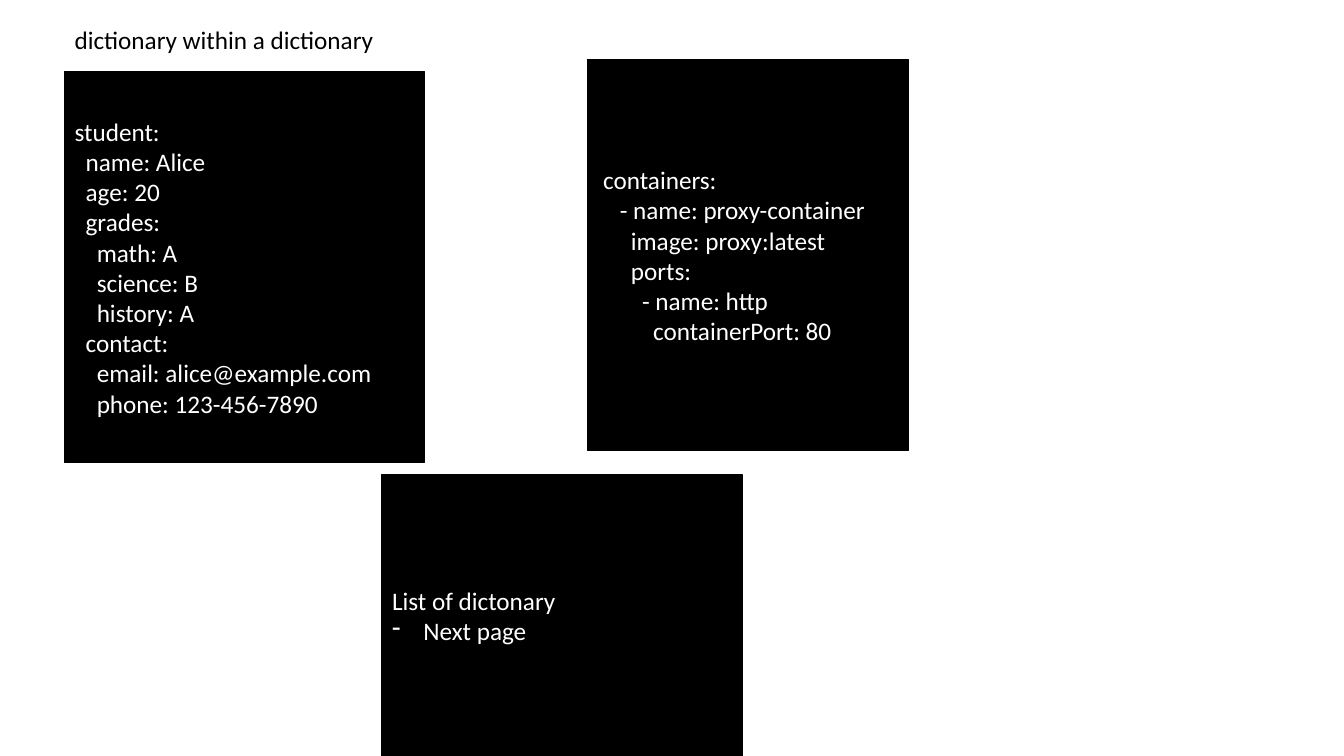
from lxml import etree
from pptx import Presentation
from pptx.dml.color import RGBColor
from pptx.enum.shapes import MSO_SHAPE
from pptx.enum.text import MSO_ANCHOR, MSO_AUTO_SIZE, PP_ALIGN
from pptx.oxml.ns import qn
from pptx.util import Cm, Pt

RECTANGLE = MSO_SHAPE.RECTANGLE
MIDDLE = MSO_ANCHOR.MIDDLE
LEFT = PP_ALIGN.LEFT
FIT_SHAPE = MSO_AUTO_SIZE.SHAPE_TO_FIT_TEXT

BLACK = RGBColor(0x00, 0x00, 0x00)
WHITE = RGBColor(0xFF, 0xFF, 0xFF)

STUDENT_YAML = [
    (0, "student:"),
    (2, "name: Alice"),
    (2, "age: 20"),
    (2, "grades:"),
    (4, "math: A"),
    (4, "science: B"),
    (4, "history: A"),
    (2, "contact:"),
    (4, "email: alice@example.com"),
    (4, "phone: 123-456-7890"),
]
CONTAINERS_YAML = [
    (1, "containers:"),
    (4, "- name: proxy-container"),
    (6, "image: proxy:latest"),
    (6, "ports:"),
    (8, "- name: http"),
    (10, "containerPort: 80"),
]
NEXT_TOPIC = [(0, "List of dictonary"), (0, "Next page")]


class SlideBuilder:
    font_name = "Calibri"
    font_size = Pt(18)
    column_width = Cm(0.14)
    bullet_indent = Cm(0.79)

    def __init__(self, slide):
        self.slide = slide

    def fill_text(self, text_frame, lines, color):
        text_frame.word_wrap = True
        text_frame.text = "\n".join(text for _, text in lines)
        for paragraph, (column, _) in zip(text_frame.paragraphs, lines):
            paragraph.alignment = LEFT
            if column:
                properties = paragraph._p.get_or_add_pPr()
                properties.set("marL", str(column * self.column_width))
            for run in paragraph.runs:
                run.font.name = self.font_name
                run.font.size = self.font_size
                run.font.color.rgb = color

    def title(self, left, top, width, height, text):
        shape = self.slide.shapes.add_textbox(Cm(left), Cm(top), Cm(width), Cm(height))
        self.fill_text(shape.text_frame, [(0, text)], BLACK)
        shape.text_frame.auto_size = FIT_SHAPE

    def panel(self, left, top, width, height, lines):
        shape = self.slide.shapes.add_shape(
            RECTANGLE, Cm(left), Cm(top), Cm(width), Cm(height)
        )
        shape.shadow.inherit = False
        shape.fill.solid()
        shape.fill.fore_color.rgb = BLACK
        shape.line.color.rgb = BLACK
        shape.line.width = Pt(1)
        shape.text_frame.vertical_anchor = MIDDLE
        self.fill_text(shape.text_frame, lines, WHITE)
        return shape

    def dash_bullet(self, paragraph):
        properties = paragraph._p.get_or_add_pPr()
        properties.set("marL", str(self.bullet_indent))
        properties.set("indent", str(-self.bullet_indent))
        etree.SubElement(properties, qn("a:buChar")).set("char", "-")


def main():
    presentation = Presentation()
    presentation.slide_width = Cm(33.87)
    presentation.slide_height = Cm(19.05)
    builder = SlideBuilder(presentation.slides.add_slide(presentation.slide_layouts[6]))

    next_topic = builder.panel(9.63, 11.96, 9.07, 7.09, NEXT_TOPIC)
    builder.dash_bullet(next_topic.text_frame.paragraphs[1])
    builder.panel(1.63, 1.8, 9.07, 9.86, STUDENT_YAML)
    builder.title(1.63, 0.48, 16.94, 1.02, "dictionary within a dictionary")
    builder.panel(14.81, 1.5, 8.08, 9.86, CONTAINERS_YAML)

    presentation.save("out.pptx")


if __name__ == "__main__":
    main()
